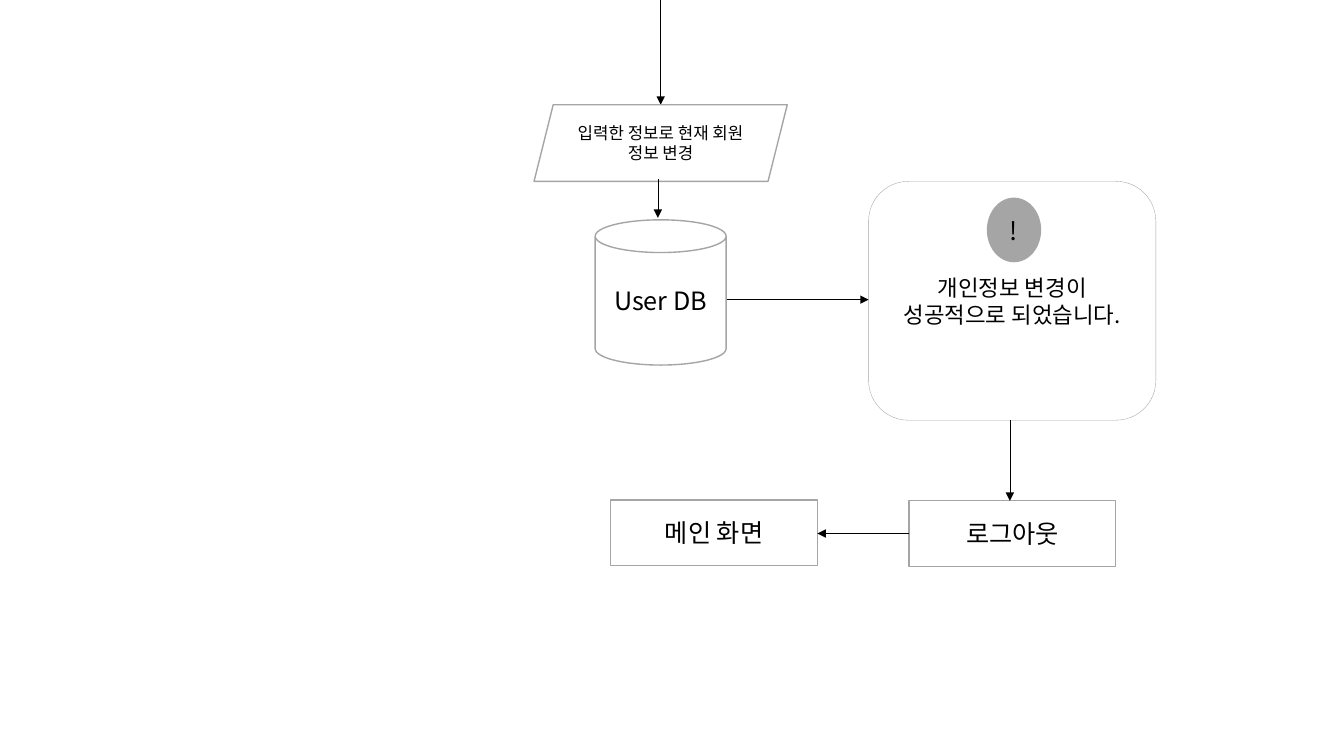
import pptx
import pptx.dml.color
import pptx.enum.shapes
import pptx.enum.text
import pptx.oxml.ns
import pptx.oxml.xmlchemy
import pptx.util
import lxml.etree

Cm = pptx.util.Cm
Pt = pptx.util.Pt
Shape = pptx.enum.shapes.MSO_SHAPE
WHITE = pptx.dml.color.RGBColor(0xFF, 0xFF, 0xFF)
BLACK = pptx.dml.color.RGBColor(0x00, 0x00, 0x00)
GRAY = pptx.dml.color.RGBColor(0xA5, 0xA5, 0xA5)
FONT = "Noto Sans CJK KR"


def add_child(parent, tag, **attributes):
    """Append a DrawingML element to a parent element."""
    return lxml.etree.SubElement(parent, pptx.oxml.ns.qn(tag), attributes)


def write_text(shape, text, size=18, color=BLACK):
    """Write one centred paragraph into a shape."""
    frame = shape.text_frame
    frame.word_wrap = True
    frame.vertical_anchor = pptx.enum.text.MSO_ANCHOR.MIDDLE
    para = frame.paragraphs[0]
    para.alignment = pptx.enum.text.PP_ALIGN.CENTER
    span = para.add_run()
    span.text = text
    span.font.size = Pt(size)
    span.font.name = FONT
    span.font.color.rgb = color
    add_child(span.font._element, "a:ea", typeface=FONT)


def add_node(shapes, kind, box, text, size=18, fill=WHITE, line_width=1):
    """Add a labelled flowchart shape; a zero line width means no outline."""
    node = shapes.add_shape(kind, *(Cm(length) for length in box))
    node.shadow.inherit = False
    node.fill.solid()
    node.fill.fore_color.rgb = fill
    if line_width:
        node.line.color.rgb = GRAY
        node.line.width = Pt(line_width)
    else:
        node.line.fill.background()
    write_text(node, text, size=size)
    return node


def add_arrow(shapes, start, end):
    """Add a thin straight arrow between two points."""
    arrow = shapes.add_connector(
        pptx.enum.shapes.MSO_CONNECTOR.STRAIGHT,
        *(Cm(length) for length in (*start, *end)))
    arrow.line.color.rgb = BLACK
    arrow.line.width = Pt(0.5)
    add_child(arrow.line._get_or_add_ln(), "a:tailEnd", type="triangle")
    add_child(arrow._element.spPr, "a:effectLst")


def draw_update(page, box):
    """Draw the incoming arrow, the update step and the database."""
    left, top, width, height = box
    middle = left + width / 2
    step_top, step_height = top + 2.64, 1.93
    can_width, can_height = 3.3, 3.66
    can_top = top + height - can_height
    add_arrow(page.shapes, (middle, top), (middle, step_top))
    add_node(page.shapes, Shape.PARALLELOGRAM, (left, step_top, width, step_height),
             "입력한 정보로 현재 회원 정보 변경", size=12)
    add_node(page.shapes, Shape.CAN,
             (middle - can_width / 2, can_top, can_width, can_height), "User DB")
    add_arrow(page.shapes, (middle - 0.07, step_top + step_height - 0.05),
              (middle - 0.07, can_top - 0.05))


def draw_notice(page, box):
    """Draw the success message with its exclamation badge."""
    left, top, width, height = box
    group = page.shapes.add_group_shape()
    add_node(group.shapes, Shape.ROUNDED_RECTANGLE, box,
             "개인정보 변경이 성공적으로 되었습니다.", size=16, line_width=0.25)
    add_node(group.shapes, Shape.OVAL, (left + 2.98, top + 0.41, 1.37, 1.63),
             "!", fill=GRAY, line_width=0)


def draw_exit(page, box):
    """Draw the logout step on the right leading to the main screen on the left."""
    left, top, width, height = box
    step_width = 5.21
    logout_left = left + width - step_width
    add_node(page.shapes, Shape.RECTANGLE, (logout_left, top, step_width, height), "로그아웃")
    add_node(page.shapes, Shape.RECTANGLE, (left, top - 0.02, step_width, height), "메인 화면")
    middle = top + height / 2
    add_arrow(page.shapes, (logout_left, middle), (left + step_width, middle))


deck = pptx.Presentation()
deck.slide_width, deck.slide_height = Cm(33.87), Cm(19.05)
page = deck.slides.add_slide(deck.slide_layouts[6])
update_box = (13.46, 0, 6.38, 9.2)
notice_box = (21.89, 4.57, 7.24, 6.02)
exit_box = (15.39, 12.62, 12.73, 1.65)
draw_update(page, update_box)
draw_notice(page, notice_box)
draw_exit(page, exit_box)
add_arrow(page.shapes, (18.31, 7.55), (notice_box[0], 7.55))
add_arrow(page.shapes, (25.45, notice_box[1] + notice_box[3]), (25.45, exit_box[1]))
deck.save("out.pptx")
